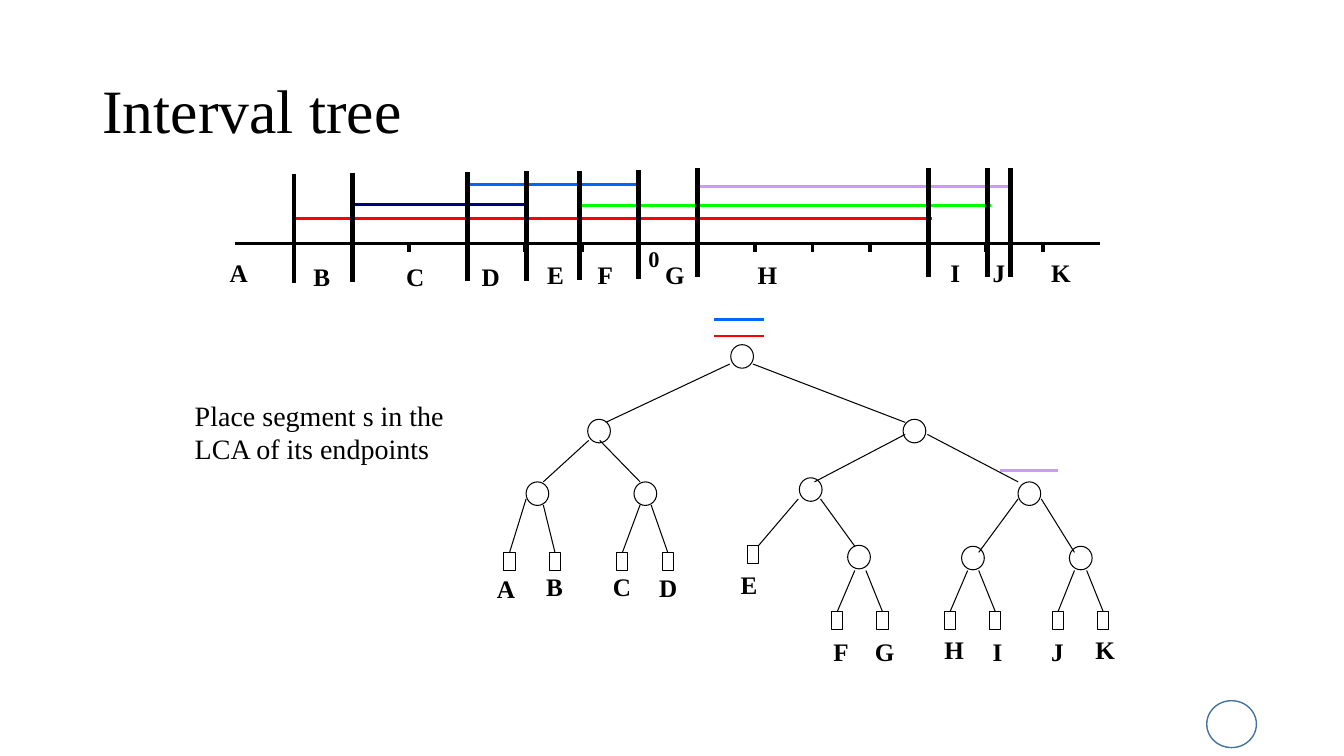
import lxml.etree
import pptx
import pptx.dml.color
import pptx.enum.shapes
import pptx.enum.text
import pptx.oxml.ns
import pptx.util

Pt = pptx.util.Pt
SHAPES = pptx.enum.shapes.MSO_SHAPE
TEXT = pptx.enum.text
THEME = {
    "font": "Times New Roman",
    "sizes": {"title": 44, "note": 20, "label": 18, "zero": 16},
    "colors": {
        name: pptx.dml.color.RGBColor.from_string(value)
        for name, value in {
            "black": "000000", "red": "FF0000", "green": "00FF00", "blue": "0066FF",
            "navy": "000080", "violet": "CC99FF", "badge": "43739E",
        }.items()
    },
}

deck = pptx.Presentation()
deck.slide_width, deck.slide_height = Pt(960), Pt(540)
page = deck.slides.add_slide(deck.slide_layouts[5])


def draw_line(start, end, color, width):
    points = [Pt(value) for value in (*start, *end)]
    line = page.shapes.add_connector(pptx.enum.shapes.MSO_CONNECTOR.STRAIGHT, *points)
    line.line.color.rgb = THEME["colors"][color]
    line.line.width = Pt(width)
    lxml.etree.SubElement(line.element.spPr, pptx.oxml.ns.qn("a:effectLst"))
    return line


def write_text(box, text, size, bold=False, wrap=True):
    frame = box.text_frame
    frame.word_wrap = wrap
    frame.auto_size = TEXT.MSO_AUTO_SIZE.NONE
    para = frame.paragraphs[0]
    para.alignment = TEXT.PP_ALIGN.LEFT
    span = para.add_run()
    span.text = text
    formats = {"name": THEME["font"], "size": Pt(THEME["sizes"][size]), "bold": bold}
    for name, value in formats.items():
        setattr(span.font, name, value)
    span.font.color.rgb = THEME["colors"]["black"]


title = page.shapes.title
for name, value in {"left": 66, "top": 29, "width": 828, "height": 104}.items():
    setattr(title, name, Pt(value))
write_text(title, "Interval tree", "title")
title.text_frame.vertical_anchor = TEXT.MSO_ANCHOR.MIDDLE
title.text_frame.paragraphs[0].line_spacing = 0.9

segments = [
    (414, 708, 147, "green"), (498, 720, 133, "violet"), (252, 378, 146, "navy"),
    (336, 456, 132, "blue"), (210, 666, 156, "red"), (714, 756, 336, "violet"),
    (510, 546, 240, "red"), (510, 546, 228, "blue"),
]
for left, right, height, color in segments:
    draw_line((left, height), (right, height), color, 2)

endpoints = [
    (210, 124), (252, 123.5), (334, 123), (376, 122.5), (414, 122), (456, 121.5),
    (498, 120), (663, 120), (705.5, 120), (722, 120),
]
for x, top in endpoints:
    draw_line((x, top), (x, top + 78), "black", 3.5)

axis_y = 174
draw_line((168, axis_y), (786, axis_y), "black", 2.5)
for tick in range(14):
    x = 210 + 41.15 * tick
    draw_line((x, axis_y), (x, axis_y + 6), "black", 2.5)

outlines = [(SHAPES.OVAL, 862, 500.5, 35.5, 33.5, "badge", 1)]
nodes = [
    (522, 246.2), (419.8, 299.5), (645.1, 299.5), (375.8, 344.2), (452.9, 344.2),
    (571, 341.3), (605.5, 389.5), (727.2, 344.2), (686.9, 390.2), (763.9, 390.2),
]
outlines += [(SHAPES.OVAL, left, top, 16.2, 16.8, "black", 0.75) for left, top in nodes]
leaves = [
    ("A", 360, 394.6), ("B", 392.4, 394.6), ("C", 440.6, 394.6), ("D", 473, 394.6),
    ("E", 534.2, 389.5), ("F", 594, 437), ("G", 626.4, 437), ("H", 674.6, 437),
    ("I", 707, 437), ("J", 751.7, 437), ("K", 784.1, 437),
]
outlines += [(SHAPES.RECTANGLE, left, top, 8, 13, "black", 0.75) for _, left, top in leaves]
drawn = []
for kind, left, top, width, height, color, weight in outlines:
    shape = page.shapes.add_shape(kind, Pt(left), Pt(top), Pt(width), Pt(height))
    shape.shadow.inherit = False
    shape.fill.background()
    shape.line.color.rgb = THEME["colors"][color]
    shape.line.width = Pt(weight)
    drawn.append(shape)
leaf_shapes = {leaf[0]: shape for leaf, shape in zip(leaves, drawn[-len(leaves):])}

branches = [
    ((521.3, 260), (432.7, 301.7)), ((537.8, 260), (646.6, 301.7)),
    ((646.6, 310.3), (581.8, 344.2)), ((662.4, 310.3), (727.2, 344.2)),
    ((420.5, 314.6), (388.1, 344.2)), ((428.4, 314.6), (457.2, 344.2)),
    ((570.2, 356.4), (541.4, 390.2)), ((586.1, 356.4), (610.6, 390.2)),
    ((727.2, 356.4), (699.1, 394.6)), ((743.8, 356.4), (767.5, 394.6)),
]
for start, end in branches:
    draw_line(start, end, "black", 0.75)

leaf_branches = {
    "A": (375.8, 356.4), "B": (388.1, 360.7), "C": (457.2, 360.7), "D": (465.1, 360.7),
    "F": (610.6, 407.5), "G": (618.5, 407.5), "H": (691.2, 407.5), "I": (699.1, 407.5),
    "J": (767.5, 407.5), "K": (776.2, 407.5),
}
for letter, start in leaf_branches.items():
    branch = draw_line(start, start, "black", 0.75)
    branch.end_connect(leaf_shapes[letter], 0)

leaf_labels = [
    ("A", 347.8, 406.1, 27.4), ("B", 383, 404.6, 26.6), ("C", 430.6, 404.6, 27.4),
    ("D", 463.7, 405.4, 27.4), ("E", 522, 403.2, 26.6), ("F", 588.2, 450.7, 25.2),
    ("G", 617.8, 450.7, 28.8), ("H", 667.4, 449.3, 28.8), ("I", 702, 450.7, 21.6),
    ("J", 743.8, 450.7, 23.8), ("K", 775.4, 449.3, 28.8),
]
for letter, left, top, width in leaf_labels:
    box = page.shapes.add_textbox(Pt(left), Pt(top), Pt(width), Pt(29))
    box.rotation = 359.8
    write_text(box, letter, "label", bold=True, wrap=False)

axis_labels = [
    ("A", 157, 180), ("B", 216.7, 183), ("C", 283, 183), ("D", 337, 183),
    ("E", 383.8, 181.5), ("F", 419.8, 181.5), ("G", 468, 181.5), ("H", 534.2, 181.5),
    ("I", 671.8, 180), ("J", 702, 180), ("K", 743.8, 180),
]
for letter, left, top in axis_labels:
    box = page.shapes.add_textbox(Pt(left), Pt(top), Pt(30), Pt(29))
    write_text(box, letter, "label", bold=True)

zero = page.shapes.add_textbox(Pt(456), Pt(171.5), Pt(22.3), Pt(26.6))
write_text(zero, "0", "zero", bold=True, wrap=False)
note = page.shapes.add_textbox(Pt(132), Pt(281), Pt(204), Pt(55.5))
write_text(note, "Place segment s in the LCA of its endpoints", "note")

deck.save("out.pptx")
